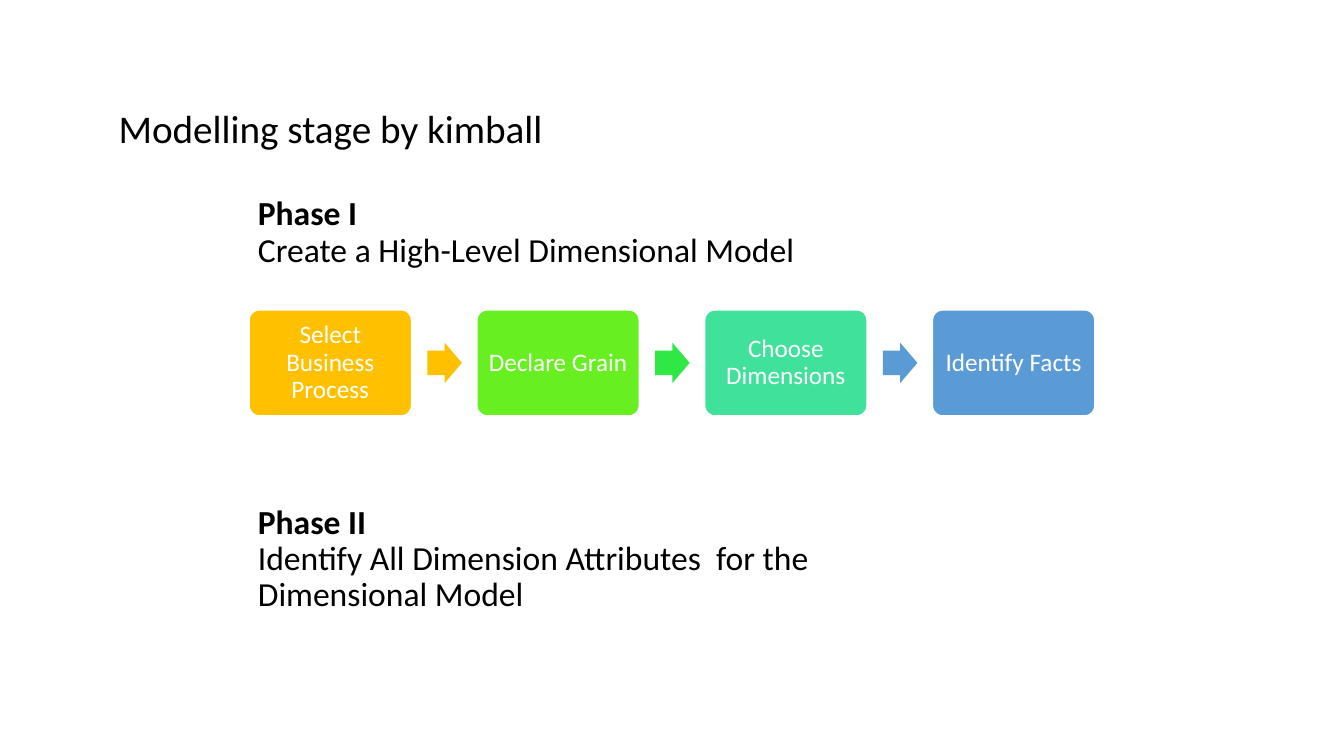
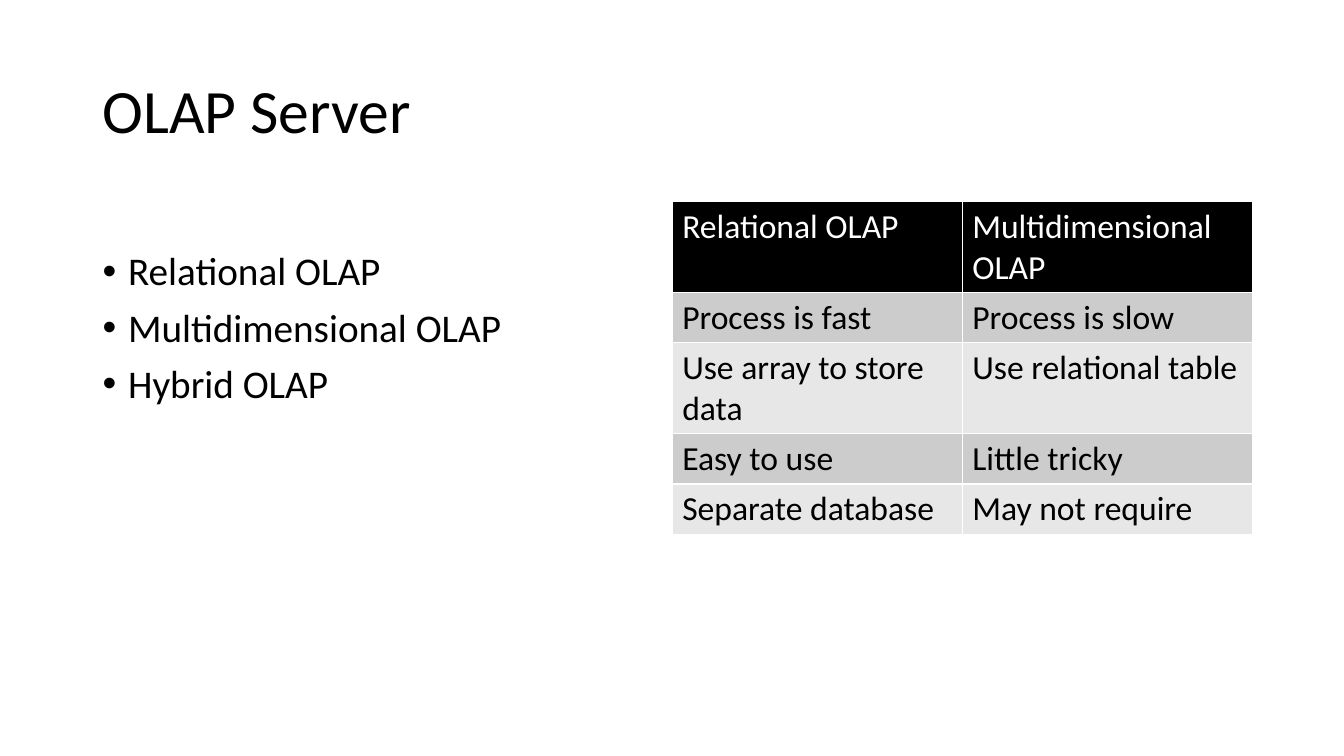
from pptx import Presentation
from pptx.dml.color import RGBColor
from pptx.enum import shapes, text
from pptx.oxml.ns import qn
from pptx.util import Cm, Pt
from lxml import etree

FONT = "Calibri"
BLACK, WHITE = "000000", "FFFFFF"
BANDS = ("CCCCCC", "E7E7E7")
TITLE_W, TITLE_H = 29.21, 3.68

STAGE_TITLE = "Modelling stage by kimball"
PHASES = [  # top, heading, description
    (4.95, "Phase I", "Create a High-Level Dimensional Model"),
    (13.18, "Phase II",
     "Identify All Dimension Attributes  for the Dimensional Model"),
]
STEPS = [  # label, box colour, colour of the arrow that follows
    ("Select Business Process", "FFC000", "FFC000"),
    ("Declare Grain", "67EF21", "30E845"),
    ("Choose Dimensions", "3FE19B", "5B9BD5"),
    ("Identify Facts", "5B9BD5", None),
]
SERVER_TITLE = "OLAP Server"
SERVERS = ["Relational OLAP", "Multidimensional OLAP", "Hybrid OLAP"]
COMPARISON = [
    ("Relational OLAP", "Multidimensional OLAP"),
    ("Process is fast", "Process is slow"),
    ("Use array to store data", "Use relational table"),
    ("Easy to use", "Little tricky"),
    ("Separate database", "May not require"),
]


def rgb(color):
    return RGBColor.from_string(color)


def add_run(p, words, size=24, color=BLACK, bold=False):
    r = p.add_run()
    r.text = words
    r.font.name, r.font.size, r.font.bold = FONT, Pt(size), bold
    r.font.color.rgb = rgb(color)


def add_text(s, x, y, w, h, anchor=text.MSO_ANCHOR.MIDDLE):
    """Add a wrapping text box and return its text frame."""
    tf = s.shapes.add_textbox(Cm(x), Cm(y), Cm(w), Cm(h)).text_frame
    tf.word_wrap = True
    tf.vertical_anchor = anchor
    tf.paragraphs[0].line_spacing = 0.9
    return tf


def add_title(s, words, x, y, size):
    tf = add_text(s, x, y, TITLE_W, TITLE_H)
    add_run(tf.paragraphs[0], words, size)


def add_block(s, kind, x, y, w, h, fill, adjustments):
    sp = s.shapes.add_shape(kind, Cm(x), Cm(y), Cm(w), Cm(h))
    sp.shadow.inherit = False
    sp.fill.solid()
    sp.fill.fore_color.rgb = rgb(fill)
    sp.line.fill.background()
    for i, value in enumerate(adjustments):
        sp.adjustments[i] = value
    return sp


def add_step(s, label, x, y, w, h, fill):
    sp = add_block(s, shapes.MSO_SHAPE.ROUNDED_RECTANGLE, x, y, w, h, fill, [0.1])
    sp.line.color.rgb = rgb(WHITE)
    sp.line.width = Pt(1.5)
    tf = sp.text_frame
    tf.word_wrap = True
    tf.vertical_anchor = text.MSO_ANCHOR.MIDDLE
    tf.margin_left = tf.margin_right = tf.margin_top = tf.margin_bottom = Cm(0.18)
    p = tf.paragraphs[0]
    p.alignment = text.PP_ALIGN.CENTER
    p.line_spacing = 0.9
    add_run(p, label, 18, WHITE)


def add_bullet(p):
    pPr = p._p.get_or_add_pPr()
    pPr.set("marL", str(Cm(0.64)))
    pPr.set("indent", str(Cm(-0.64)))
    etree.SubElement(pPr, qn("a:buFont")).set("typeface", "Arial")
    etree.SubElement(pPr, qn("a:buChar")).set("char", "•")


def build_stages(s):
    add_title(s, STAGE_TITLE, 2.74, 1.45, 28)
    for top, heading, description in PHASES:
        p = add_text(s, 6.25, top, 17.5, 1.85).paragraphs[0]
        add_run(p, heading, bold=True)
        p.add_line_break()
        add_run(p, description)

    left, top, w, h, pitch = 6.27, 7.8, 4.11, 2.69, 5.74
    arrow_w, arrow_h, arrow_dx = 0.87, 1.02, 4.5
    for i, (label, fill, arrow_fill) in enumerate(STEPS):
        x = left + i * pitch
        add_step(s, label, x, top, w, h, fill)
        if arrow_fill:
            add_block(s, shapes.MSO_SHAPE.RIGHT_ARROW, x + arrow_dx,
                      top + (h - arrow_h) / 2, arrow_w, arrow_h,
                      arrow_fill, [0.6, 0.5])


def build_servers(s):
    add_title(s, SERVER_TITLE, 2.34, 1.02, 44)
    tf = add_text(s, 2.34, 6.22, 13.87, 10.95, text.MSO_ANCHOR.TOP)
    for i, server in enumerate(SERVERS):
        p = tf.add_paragraph() if i else tf.paragraphs[0]
        p.line_spacing = 0.9
        p.space_before = Pt(10)
        add_bullet(p)
        add_run(p, server, 28)

    rows, cols = len(COMPARISON), len(COMPARISON[0])
    table = s.shapes.add_table(rows, cols, Cm(16.94), Cm(5.08),
                               Cm(14.62), Cm(1.04 * rows)).table
    for i, row in enumerate(COMPARISON):
        fill, color = (BANDS[(i - 1) % 2], BLACK) if i else (BLACK, WHITE)
        for j, words in enumerate(row):
            cell = table.cell(i, j)
            cell.fill.solid()
            cell.fill.fore_color.rgb = rgb(fill)
            add_run(cell.text_frame.paragraphs[0], words, color=color)


def main():
    prs = Presentation()
    prs.slide_width, prs.slide_height = Cm(33.87), Cm(19.05)
    for build in (build_stages, build_servers):
        build(prs.slides.add_slide(prs.slide_layouts[6]))
    prs.save("out.pptx")


if __name__ == "__main__":
    main()
